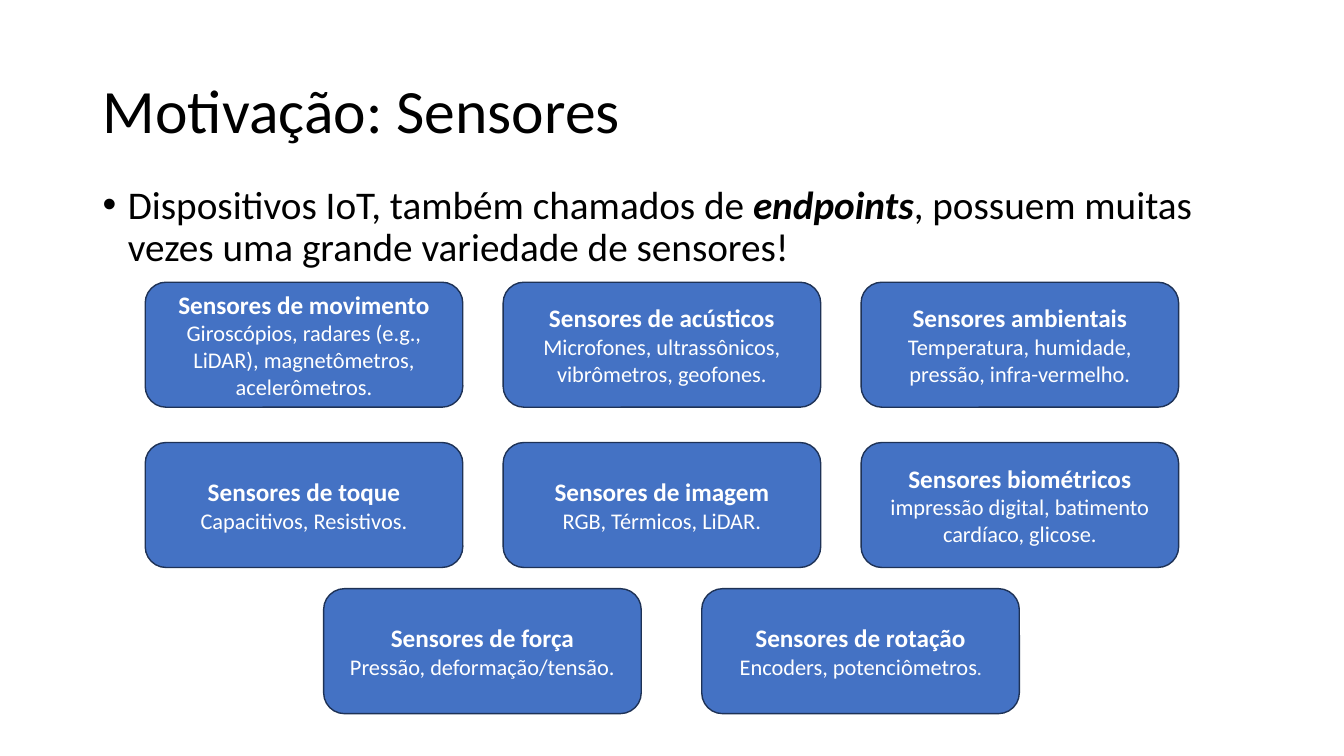
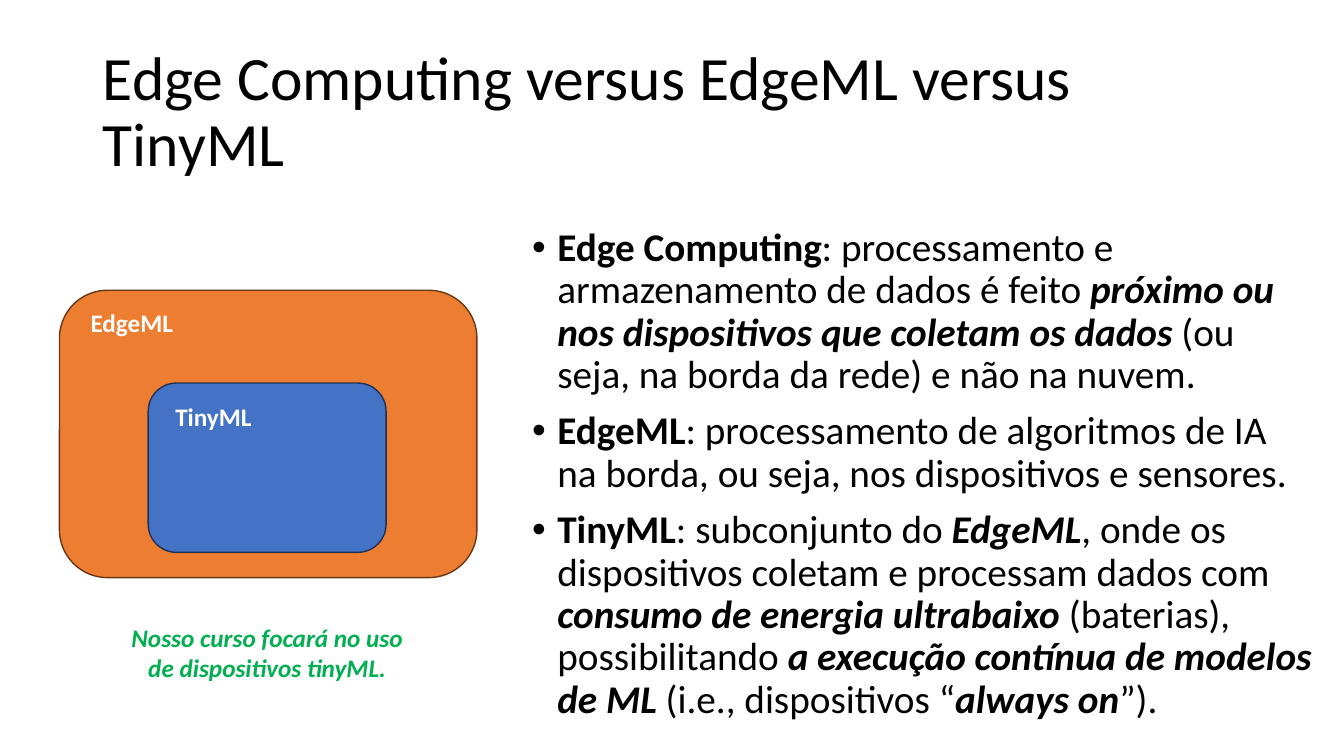
from lxml.etree import SubElement
from pptx import Presentation
from pptx.dml.color import RGBColor
from pptx.enum.shapes import MSO_SHAPE as Shape
from pptx.enum.text import MSO_ANCHOR as Anchor, MSO_AUTO_SIZE as AutoSize, PP_ALIGN as Align
from pptx.oxml.ns import qn
from pptx.util import Inches, Pt

WIDTH, HEIGHT = 13.33, 7.5
FONT = "Calibri"
TITLE_ONLY = 5
COLORS = {
    "black": "000000", "white": "FFFFFF", "pale": "E8EAED", "green": "00B050",
    "blue": "4472C4", "navy": "1E3256", "orange": "ED7D31", "brown": "683715",
}
BOLD = {"bold": True}
STRONG = {"bold": True, "italic": True}

# A paragraph is a list of spans: plain text, or (text, format).
SENSORS_TITLE = "Motivação: Sensores"
SENSORS_INTRO = [[
    "Dispositivos IoT, também chamados de ", ("endpoints", STRONG),
    ", possuem muitas vezes uma grande variedade de sensores!",
]]
SENSOR_ROWS = [
    {"left": 1.44, "top": 2.8, "step": 3.55, "cards": [
        ("Sensores de movimento",
         ["Giroscópios, radares (e.g., LiDAR), magnetômetros, acelerômetros."]),
        ("Sensores de acústicos", ["Microfones, ultrassônicos, vibrômetros, geofones."]),
        ("Sensores ambientais", ["Temperatura, humidade, pressão, infra-vermelho."]),
    ]},
    {"left": 1.44, "top": 4.39, "step": 3.55, "cards": [
        ("Sensores de toque", ["Capacitivos, Resistivos."]),
        ("Sensores de imagem", ["RGB, Térmicos, LiDAR."]),
        ("Sensores biométricos", ["impressão digital, batimento cardíaco, glicose."]),
    ]},
    {"left": 3.21, "top": 5.84, "step": 3.75, "cards": [
        ("Sensores de força", ["Pressão, deformação/tensão."]),
        ("Sensores de rotação",
         ["Encoders, potenciômetros", (".", {"font": "Karla", "color": "pale"})]),
    ]},
]
CARD_WIDTH, CARD_HEIGHT = 3.15, 1.24

EDGE_TITLE = "Edge Computing versus EdgeML versus TinyML"
EDGE_POINTS = [
    [("Edge Computing", BOLD), ": processamento e armazenamento de dados é feito ",
     ("próximo ou nos dispositivos que coletam os dados", STRONG),
     " (ou seja, na borda da rede) e não na nuvem."],
    [("EdgeML", BOLD),
     ": processamento de algoritmos de IA na borda, ou seja, nos dispositivos e sensores."],
    [("TinyML", BOLD), ": subconjunto do ", ("EdgeML", STRONG),
     ", onde os dispositivos coletam e processam dados com ",
     ("consumo de energia ultrabaixo ", STRONG), "(baterias), possibilitando ",
     ("a execução contínua de modelos de ML", STRONG), " (i.e., dispositivos “",
     ("always on", STRONG), "”)."],
]
NESTED_SETS = [
    {"name": "EdgeML", "area": (0.59, 2.88, 4.14, 2.85), "label": (0.8, 3, 1.12, 0.4),
     "fill": "orange", "line": "brown"},
    {"name": "TinyML", "area": (1.47, 3.8, 2.36, 1.68), "label": (1.64, 3.93, 1.12, 0.4),
     "fill": "blue", "line": "navy"},
]
COURSE_NOTE = "Nosso curso focará no uso de dispositivos tinyML."


def rgb(name):
    return RGBColor.from_string(COLORS[name])


def inches(area):
    return [Inches(length) for length in area]


def add_bullet(para):
    properties = para._p.get_or_add_pPr()
    properties.set("marL", str(Inches(0.25)))
    properties.set("indent", str(-Inches(0.25)))
    SubElement(properties, qn("a:buFont")).set("typeface", "Arial")
    SubElement(properties, qn("a:buChar")).set("char", "•")


def write(box, paragraphs, sizes=(18,), align=Align.LEFT, anchor=Anchor.TOP,
          spacing=1.0, before=0, bullet=False, **base):
    """Fill a shape with paragraphs; the last size serves all remaining paragraphs."""
    frame = box.text_frame
    frame.word_wrap = True
    frame.auto_size = AutoSize.NONE
    frame.vertical_anchor = anchor
    for index, spans in enumerate(paragraphs):
        para = frame.paragraphs[0] if index == 0 else frame.add_paragraph()
        para.alignment = align
        para.line_spacing = spacing
        para.space_before = Pt(before if index else 0)
        if bullet:
            add_bullet(para)
        for span in spans:
            text, extra = (span, {}) if isinstance(span, str) else span
            style = {"font": FONT, "color": "black", **base, **extra}
            run = para.add_run()
            run.text = text
            run.font.name = style["font"]
            run.font.size = Pt(sizes[min(index, len(sizes) - 1)])
            run.font.bold = style.get("bold", False)
            run.font.italic = style.get("italic", False)
            run.font.color.rgb = rgb(style["color"])


def add_text(shapes, area, paragraphs, **style):
    write(shapes.add_textbox(*inches(area)), paragraphs, **style)


def add_points(slide, area, paragraphs):
    add_text(slide.shapes, area, paragraphs, sizes=(28,), spacing=0.9, before=10, bullet=True)


def add_rounded_box(shapes, area, fill, line):
    box = shapes.add_shape(Shape.ROUNDED_RECTANGLE, *inches(area))
    box.shadow.inherit = False
    box.fill.solid()
    box.fill.fore_color.rgb = rgb(fill)
    box.line.color.rgb = rgb(line)
    box.line.width = Pt(1)
    return box


def add_titled_slide(deck, title, width):
    slide = deck.slides.add_slide(deck.slide_layouts[TITLE_ONLY])
    box = slide.shapes.title
    box.left, box.top, box.width, box.height = inches((0.92, 0.4, width, 1.45))
    write(box, [[title]], sizes=(44,), anchor=Anchor.MIDDLE, spacing=0.9)
    return slide


def build_sensors(deck):
    slide = add_titled_slide(deck, SENSORS_TITLE, 11.5)
    add_points(slide, (0.92, 1.79, 11.85, 0.98), SENSORS_INTRO)
    for row in SENSOR_ROWS:
        for column, (name, examples) in enumerate(row["cards"]):
            left = row["left"] + column * row["step"]
            card = add_rounded_box(slide.shapes, (left, row["top"], CARD_WIDTH, CARD_HEIGHT),
                                   "blue", "navy")
            write(card, [[(name, BOLD)], examples], sizes=(18, 16), align=Align.CENTER,
                  anchor=Anchor.MIDDLE, color="white")


def build_edge(deck):
    slide = add_titled_slide(deck, EDGE_TITLE, 11.7)
    add_points(slide, (5.18, 2.21, 7.94, 5.29), EDGE_POINTS)
    diagram = slide.shapes.add_group_shape().shapes
    for item in NESTED_SETS:
        add_rounded_box(diagram, item["area"], item["fill"], item["line"])
        add_text(diagram, item["label"], [[item["name"]]], color="white", **BOLD)
    add_text(slide.shapes, (1.17, 6.12, 2.96, 0.71), [[COURSE_NOTE]],
             align=Align.CENTER, color="green", **STRONG)


def main():
    deck = Presentation()
    deck.slide_width, deck.slide_height = inches((WIDTH, HEIGHT))
    build_sensors(deck)
    build_edge(deck)
    deck.save("out.pptx")


if __name__ == "__main__":
    main()
